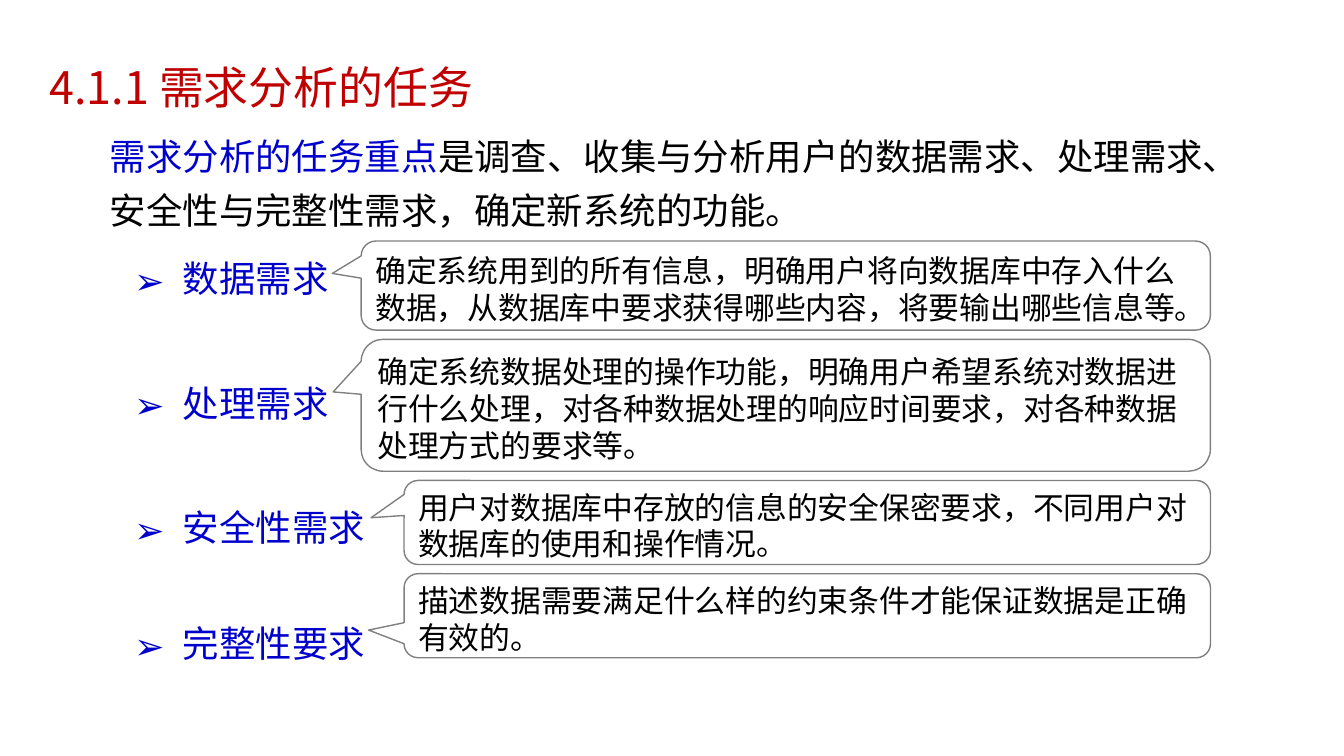
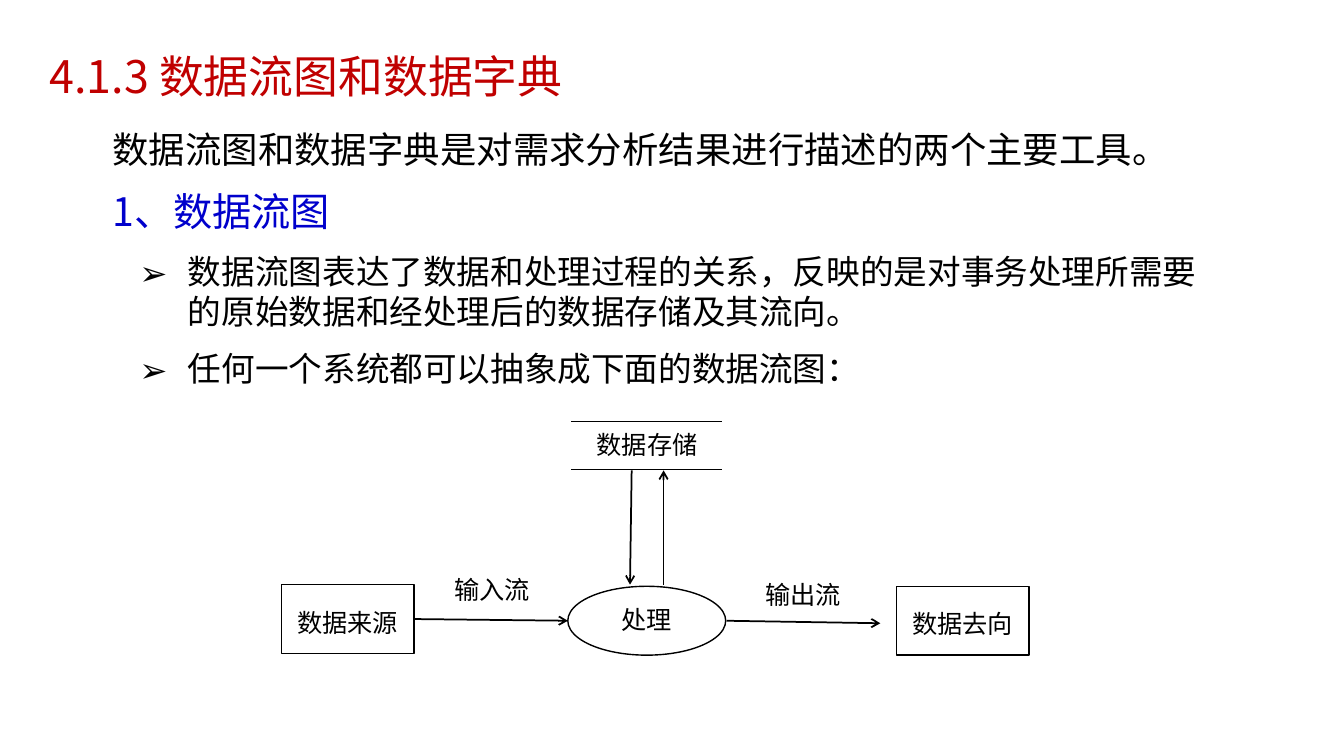
from dataclasses import dataclass

from lxml.etree import SubElement
from pptx import Presentation
from pptx.dml.color import RGBColor
from pptx.enum.shapes import MSO_CONNECTOR, MSO_SHAPE
from pptx.enum.text import MSO_ANCHOR, PP_ALIGN
from pptx.oxml.ns import qn
from pptx.util import Inches, Pt


@dataclass(frozen=True)
class Theme:
    red: str = "C00000"
    blue: str = "0000CC"
    ink: str = "000000"
    grey: str = "808080"
    paper: str = "FFFFFF"
    font: str = "Noto Sans CJK SC"
    latin: str = "Roboto"
    title: int = 32
    head: int = 28
    lead: int = 26
    item: int = 24
    note: int = 22
    label: int = 18
    lead_gap: float = 1.48
    list_gap: float = 1.88
    tight: float = 1.19
    mark: str = "➢"


class Deck:
    cols, rows = 160, 90

    def __init__(self, theme):
        self.look = theme
        self.show = Presentation()
        self.show.slide_width = Inches(13.33)
        self.show.slide_height = Inches(7.5)
        self.slide = None

    def x(self, col):
        return round(self.show.slide_width * col / self.cols)

    def y(self, row):
        return round(self.show.slide_height * row / self.rows)

    def area(self, left, top, width, height):
        return self.x(left), self.y(top), self.x(width), self.y(height)

    def page(self, title, top):
        self.slide = self.show.slides.add_slide(self.show.slide_layouts[6])
        frame = self.box(4.7, top, 102, 9)
        self.para(frame, [(title, self.look.red)], self.look.title, 1.5)

    def box(self, *place):
        frame = self.slide.shapes.add_textbox(*self.area(*place)).text_frame
        frame.word_wrap = True
        return frame

    def para(self, frame, parts, size, pitch, before=0, indent=None,
             mark=False, align=None, latin=None):
        first = not frame.text
        para = frame.paragraphs[0] if first else frame.add_paragraph()
        para.text = parts[0][0]
        for words, _ in parts[1:]:
            para.add_run().text = words
        para.line_spacing = Pt(round(size * pitch, 1))
        para.space_before = Pt(0 if first else before)
        para.alignment = align or PP_ALIGN.LEFT
        props = para._p.get_or_add_pPr()
        if indent:
            left, hang = indent
            props.set("marL", str(self.x(left)))
            props.set("indent", str(self.x(hang)))
        if mark:
            SubElement(props, qn("a:buFont"), typeface=self.look.font)
            SubElement(props, qn("a:buChar"), char=self.look.mark)
        for run, (_, color) in zip(para.runs, parts):
            run.font.size = Pt(size)
            run.font.color.rgb = RGBColor.from_string(color)
            run.font.name = latin or self.look.font
            SubElement(run._r.get_or_add_rPr(), qn("a:ea"), typeface=self.look.font)

    def nudge(self, frame):
        frame.margin_top = Inches(0.08)
        frame.margin_bottom = Inches(0.02)

    def shape(self, kind, place, line, fill=None):
        shape = self.slide.shapes.add_shape(kind, *self.area(*place))
        shape.shadow.inherit = False
        if fill:
            shape.fill.solid()
            shape.fill.fore_color.rgb = RGBColor.from_string(fill)
        else:
            shape.fill.background()
        shape.line.color.rgb = RGBColor.from_string(line)
        shape.line.width = Pt(1)
        shape.text_frame.word_wrap = True
        self.nudge(shape.text_frame)
        return shape

    def note(self, text, place, tip):
        look = self.look
        shape = self.shape(MSO_SHAPE.ROUNDED_RECTANGULAR_CALLOUT, place,
                           look.grey, look.paper)
        for index, value in enumerate((*tip, 0.167)):
            shape.adjustments[index] = value
        shape.text_frame.vertical_anchor = MSO_ANCHOR.MIDDLE
        self.para(shape.text_frame, [(text, look.ink)], look.note, look.tight)

    def tag(self, frame, text):
        look = self.look
        self.para(frame, [(text, look.ink)], look.label, look.tight,
                  align=PP_ALIGN.CENTER, latin=look.latin)

    def label(self, text, *place):
        frame = self.box(*place)
        self.nudge(frame)
        self.tag(frame, text)

    def node(self, text, kind, anchor, *place):
        frame = self.shape(kind, place, self.look.ink).text_frame
        frame.vertical_anchor = anchor
        self.tag(frame, text)

    def line(self, start, end, arrow=False):
        (left, top), (right, low) = start, end
        link = self.slide.shapes.add_connector(
            MSO_CONNECTOR.STRAIGHT, self.x(left), self.y(top), self.x(right), self.y(low))
        link.line.color.rgb = RGBColor.from_string(self.look.ink)
        link.line.width = Pt(1.25 if arrow else 1)
        if arrow:
            SubElement(link.line._get_or_add_ln(), qn("a:tailEnd"), type="arrow")
        SubElement(link._element.spPr, qn("a:effectLst"))


NEEDS = [
    ("数据需求", 0, 43, 10.6, (-0.534, -0.136),
     "确定系统用到的所有信息，明确用户将向数据库中存入什么数据，从数据库中要求获得哪些内容，将要输出哪些信息等。"),
    ("处理需求", 40, 43, 15.7, (-0.533, -0.101),
     "确定系统数据处理的操作功能，明确用户希望系统对数据进行什么处理，对各种数据处理的响应时间要求，对各种数据处理方式的要求等。"),
    ("安全性需求", 40, 48.1, 10, (-0.541, -0.056),
     "用户对数据库中存放的信息的安全保密要求，不同用户对数据库的使用和操作情况。"),
    ("完整性要求", 34, 48.1, 10, (-0.544, 0.171),
     "描述数据需要满足什么样的约束条件才能保证数据是正确有效的。"),
]


def tasks(deck):
    look = deck.look
    deck.page("4.1.1 需求分析的任务", 4.9)
    deck.para(deck.box(11.9, 14.2, 137.4, 13), [
        ("需求分析的任务重点", look.blue),
        ("是调查、收集与分析用户的数据需求、处理需求、安全性与完整性需求，确定新系统的功能。", look.ink),
    ], look.lead, look.lead_gap)
    names = deck.box(14.6, 27, 46.8, 52.8)
    top, right, gap = 28.7, 144.1, 1.1
    for name, before, left, height, tip, text in NEEDS:
        deck.para(names, [(name, look.blue)], look.lead, look.list_gap,
                  before, (6, -5.8), True)
        deck.note(text, (left, top, right - left, height), tip)
        top += height + gap


def flow(deck):
    look = deck.look
    deck.page("4.1.3 数据流图和数据字典", 3.6)
    body = deck.box(6.2, 14.6, 138.2, 32.8)
    for text, size, color, indent, mark in [
        ("数据流图和数据字典是对需求分析结果进行描述的两个主要工具。",
         look.lead, look.ink, (6, 0), False),
        ("1、数据流图", look.head, look.blue, (6, 0), False),
        ("数据流图表达了数据和处理过程的关系，反映的是对事务处理所需要的原始数据和经处理后的数据存储及其流向。",
         look.item, look.ink, (15, -5.8), True),
        ("任何一个系统都可以抽象成下面的数据流图：",
         look.item, look.ink, (15, -5.8), True),
    ]:
        deck.para(body, [(text, color)], size, look.tight, 12, indent, mark)

    middle = MSO_ANCHOR.MIDDLE
    deck.node("数据来源", MSO_SHAPE.RECTANGLE, middle, 33.5, 69.6, 15.8, 8.2)
    deck.node("处理", MSO_SHAPE.OVAL, MSO_ANCHOR.TOP, 67.6, 69.8, 18.8, 8.2)
    deck.node("数据去向", MSO_SHAPE.RECTANGLE, middle, 106.7, 69.8, 15.8, 8.2)
    deck.label("输入流", 52.2, 67.4, 12.8, 6)
    deck.label("输出流", 89.2, 68.1, 12.8, 6)
    deck.label("数据存储", 65, 50.2, 24.1, 5.8)
    for row in (50.2, 55.9):
        deck.line((68, row), (86, row))
    for start, end in [
        ((49.3, 73.7), (67.6, 73.9)),
        ((86.5, 73.9), (104.8, 74.2)),
        ((79, 69.6), (79, 56)),
        ((75.2, 56), (75, 69.6)),
    ]:
        deck.line(start, end, True)


def main():
    deck = Deck(Theme())
    tasks(deck)
    flow(deck)
    deck.show.save("out.pptx")


if __name__ == "__main__":
    main()
